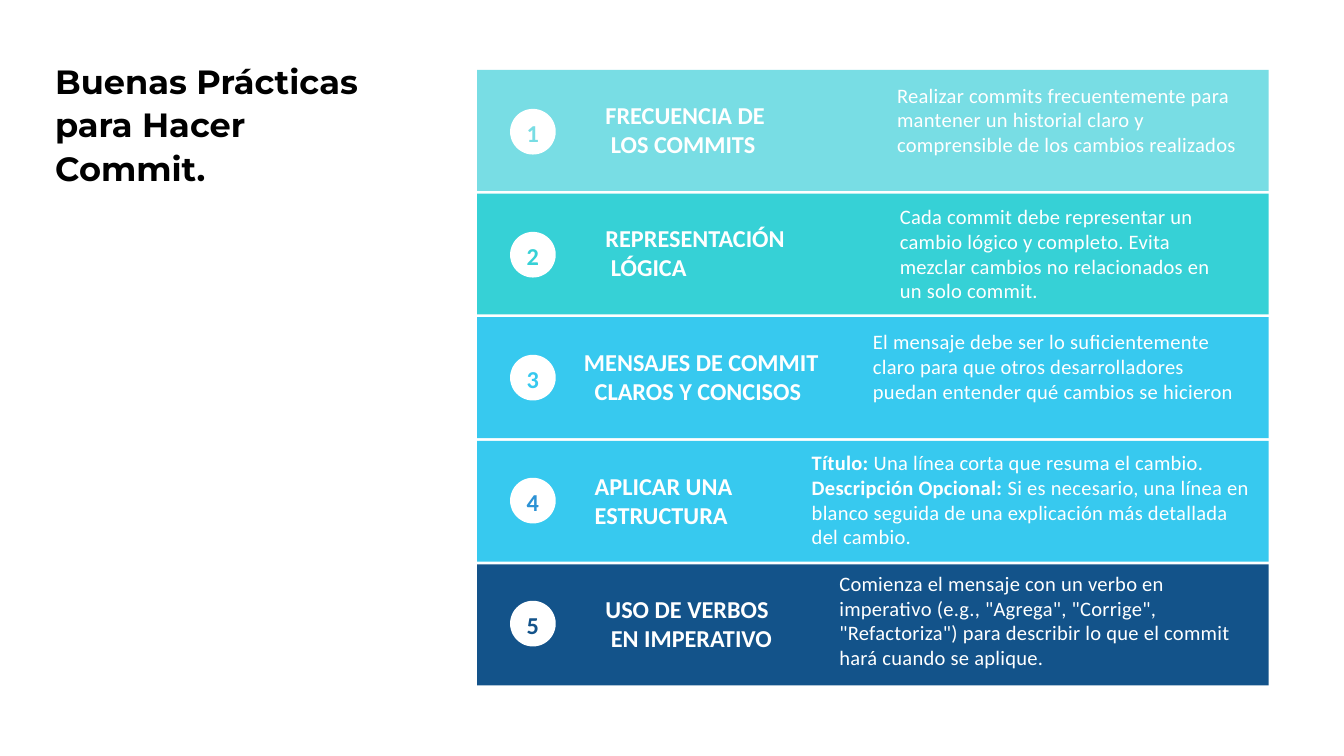
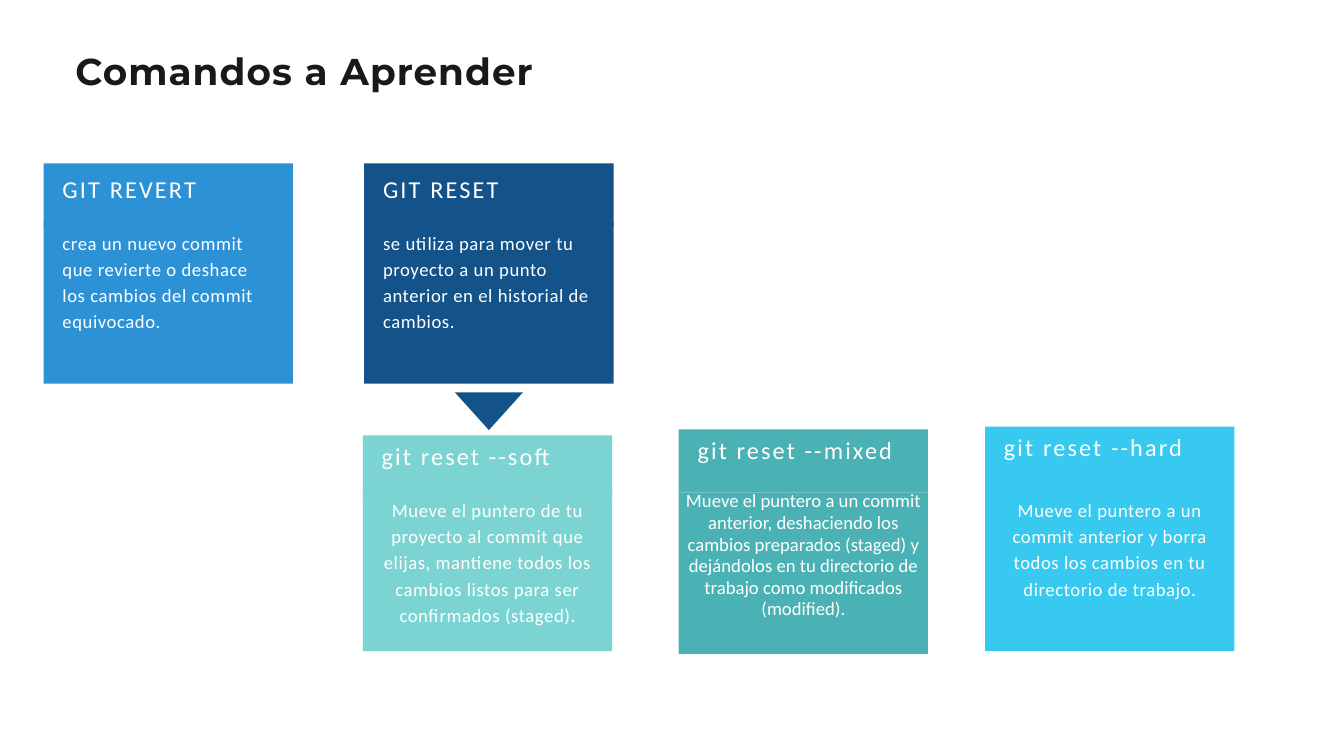
from pptx import Presentation
from pptx.dml.color import RGBColor
from pptx.enum.shapes import MSO_SHAPE
from pptx.enum.text import MSO_ANCHOR, PP_ALIGN
from pptx.util import Inches, Pt

RECT, OVAL, WEDGE = MSO_SHAPE.RECTANGLE, MSO_SHAPE.OVAL, MSO_SHAPE.ISOSCELES_TRIANGLE
LEFT, MID, JUST = PP_ALIGN.LEFT, PP_ALIGN.CENTER, PP_ALIGN.JUSTIFY
TOP, CENTER = MSO_ANCHOR.TOP, MSO_ANCHOR.MIDDLE

COLORS = {
    "white": "FFFFFF", "black": "000000", "ink": "191919",
    "pale": "78DDE4", "aqua": "36D1D6", "sky": "37C9EF",
    "blue": "2C92D5", "navy": "13538A", "mint": "7CD4D2", "teal": "4AB1B4",
}
BODY, HEAD = "Calibri", "Montserrat"
PAD = 0.28

PITCH, BAND_W, BAND_H = 1.84, 11.78, 1.8
BANDS = [
    ("pale", "pale", [("FRECUENCIA DE", 1.63), ("LOS COMMITS", 1.71)],
     (6.25, 0.19, 5.33),
     ["Realizar commits frecuentemente para mantener un historial claro y "
      "comprensible de los cambios realizados"]),
    ("aqua", "aqua", [("REPRESENTACIÓN", 1.63), ("LÓGICA", 1.71)],
     (6.29, 0.16, 5.01),
     ["Cada commit debe representar un cambio lógico y completo. Evita "
      "mezclar cambios no relacionados en un solo commit."]),
    ("sky", "sky", [("MENSAJES DE COMMIT", 1.31), ("CLAROS Y CONCISOS", 1.47)],
     (5.89, 0.18, 5.57),
     ["El mensaje debe ser lo suficientemente claro para que otros "
      "desarrolladores puedan entender qué cambios se hicieron"]),
    ("sky", "blue", [("APLICAR UNA", 1.47), ("ESTRUCTURA", 1.47)],
     (4.98, 0.14, 6.6),
     [("Título:", " Una línea corta que resuma el cambio."),
      ("Descripción Opcional:", " Si es necesario, una línea en blanco "
       "seguida de una explicación más detallada del cambio.")]),
    ("navy", "navy", [("USO DE VERBOS", 1.63), ("EN IMPERATIVO", 1.71)],
     (5.39, 0.1, 5.91),
     ['Comienza el mensaje con un verbo en imperativo (e.g., "Agrega", '
      '"Corrige", "Refactoriza") para describir lo que el commit hará '
      'cuando se aplique.']),
]

CARD_W, HEAD_H, CARD_H = 3.71, 0.94, 2.4
LOOSE = {"lead": 28, "gap": 0.6, "pad": PAD}
TIGHT = {"lead": 23.2, "gap": 0, "pad": 0}
UPPER = [
    (0.65, "blue", "GIT REVERT",
     "crea un nuevo commit que revierte o deshace los cambios del commit "
     "equivocado."),
    (5.42, "navy", "GIT RESET",
     "se utiliza para mover tu proyecto a un punto anterior en el historial "
     "de cambios."),
]
LOWER = [
    (5.4, 6.48, 0.81, "mint", "git reset --soft", 0.2, LOOSE,
     "Mueve el puntero de tu proyecto al commit que elijas, mantiene todos "
     "los cambios listos para ser confirmados (staged)."),
    (10.1, 6.39, 0.94, "teal", "git reset --mixed", 0.04, TIGHT,
     "Mueve el puntero a un commit anterior, deshaciendo los cambios "
     "preparados (staged) y dejándolos en tu directorio de trabajo como "
     "modificados (modified)."),
    (14.66, 6.35, 0.94, "sky", "git reset --hard", 0.2, LOOSE,
     "Mueve el puntero a un commit anterior y borra todos los cambios en tu "
     "directorio de trabajo."),
]


def rgb(name):
    return RGBColor.from_string(COLORS[name])


def block(slide, box, color, kind=RECT):
    shape = slide.shapes.add_shape(kind, *map(Inches, box))
    shape.shadow.inherit = False
    shape.fill.solid()
    shape.fill.fore_color.rgb = rgb(color)
    shape.line.fill.background()
    return shape


def label(slide, box, lines, size, lead, color="white", font=BODY, bold=False,
          gap=0, pad=0, align=LEFT, anchor=TOP):
    frame = slide.shapes.add_textbox(*map(Inches, box)).text_frame
    frame.word_wrap = True
    frame.vertical_anchor = anchor
    frame.margin_left = frame.margin_right = Inches(pad)
    frame.margin_top = frame.margin_bottom = Inches(pad)
    frame.text = "\n".join("" if isinstance(line, tuple) else line for line in lines)
    for para, line in zip(frame.paragraphs, lines):
        para.alignment = align
        para.line_spacing = Pt(lead)
        if isinstance(line, tuple):
            for part in line:
                para.add_run().text = part
        for num, run in enumerate(para.runs):
            run.font.name = font
            run.font.size = Pt(size)
            run.font.bold = bold or (isinstance(line, tuple) and num == 0)
            run.font.color.rgb = rgb(color)
            if gap:
                run.font._element.set("spc", str(round(gap * 100)))
    return frame


def title(slide, box, text, size, color, gap=0):
    label(slide, box, [text], size, size * 1.2 if gap else size * 1.3,
          color, HEAD, True, gap)


def badge(slide, box, text, color):
    left, top, side = box
    block(slide, (left, top, side, side), "white", OVAL)
    label(slide, (left + 0.06, top + 0.02, side - 0.12, 0.6), [text],
          26, 36.4, color, bold=True, align=MID, anchor=CENTER)


def band(slide, box, num, fill, tone, heads, place, notes):
    left, top, wide, high = box
    block(slide, box, fill)
    frame = label(slide, (left, top - 0.04, wide, high + 0.04),
                  [text for text, shift in heads], 26, 31.2,
                  bold=True, pad=PAD, anchor=CENTER)
    for para, (text, shift) in zip(frame.paragraphs, heads):
        para._p.get_or_add_pPr().set("marL", str(Inches(shift)))
    badge(slide, (left + 0.49, top + 0.58 - 0.01 * (num - 1), 0.68), str(num), tone)
    x, y, span = place
    label(slide, (left + x, top + y, span, 1.46), notes, 22, 26.4, gap=0.3)


def card(slide, box, drop, color, head, text, lift=0.2, style=LOOSE,
         aligns=(LEFT, LEFT), anchor=CENTER):
    left, top, wide = box
    base = top + drop
    block(slide, (left, top, wide, HEAD_H), color)
    block(slide, (left, base, wide, CARD_H), color)
    label(slide, (left, top - 0.24, wide, HEAD_H + 0.24), [head], 26, 36.4,
          gap=2.3, pad=PAD, align=aligns[0], anchor=anchor)
    label(slide, (left, base - lift, wide, CARD_H + lift), [text], 20,
          align=aligns[1], **style)


def habits(slide):
    title(slide, (0.82, 0.85, 4.98, 2.59), "Buenas Prácticas para Hacer Commit.",
          36, "black")
    for num, row in enumerate(BANDS):
        band(slide, (7.1, 1.04 + PITCH * num, BAND_W, BAND_H), num + 1, *row)


def orders(slide):
    title(slide, (1.12, 0.71, 8.28, 0.69), "Comandos a Aprender", 40, "ink", 1.2)
    for left, color, head, text in UPPER:
        card(slide, (left, 2.43, CARD_W), 0.88, color, head, text)
    for left, top, drop, color, head, lift, style, text in LOWER:
        card(slide, (left, top, CARD_W), drop, color, head, text, lift, style,
             (JUST, MID), TOP)
    block(slide, (6.77, 5.84, 1.01, 0.56), "navy", WEDGE).rotation = 180


def main():
    deck = Presentation()
    deck.slide_width, deck.slide_height = Inches(20), Inches(11.25)
    for build in (habits, orders):
        build(deck.slides.add_slide(deck.slide_layouts[6]))
    deck.save("out.pptx")


if __name__ == "__main__":
    main()
